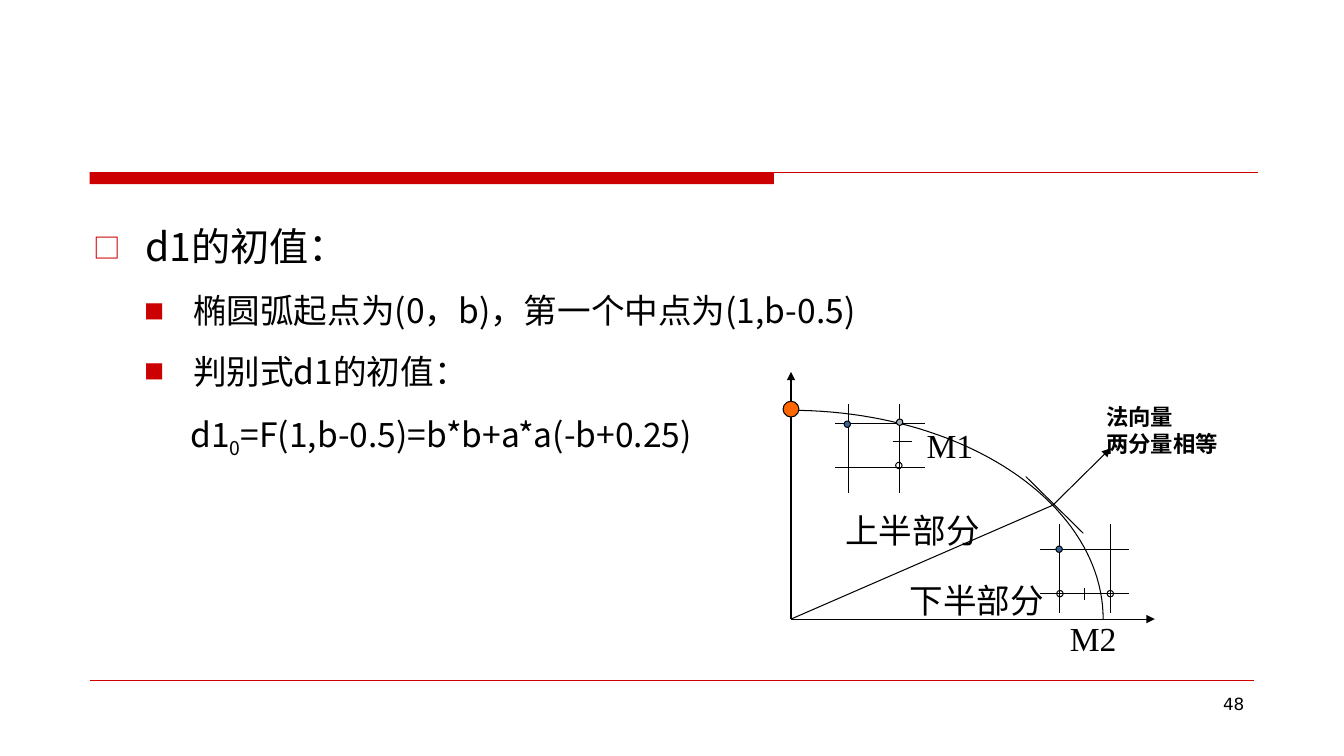
from math import cos, pi, sin

from pptx import Presentation
from pptx.dml.color import RGBColor
from pptx.enum.shapes import MSO_CONNECTOR as Link, MSO_SHAPE as Preset
from pptx.enum.text import PP_ALIGN as Align
from pptx.oxml.ns import qn
from pptx.util import Cm, Pt
from lxml.etree import SubElement

RED, BLACK, BLUE = "CC0000", "000000", "336699"
CJK = "Noto Sans CJK SC"
SERIF = "Times New Roman"

deck = Presentation()
deck.slide_width, deck.slide_height = Cm(33.88), Cm(19.05)
page = deck.slides.add_slide(deck.slide_layouts[6])
shapes = page.shapes
color = RGBColor.from_string


def add_line(x1, y1, x2, y2, ink=BLACK, width=0.75, arrow=False):
    line = shapes.add_connector(Link.STRAIGHT, Cm(x1), Cm(y1), Cm(x2), Cm(y2))
    line.line.color.rgb = color(ink)
    line.line.width = Pt(width)
    if arrow:
        SubElement(line.line._get_or_add_ln(), qn("a:tailEnd"), type="triangle")
    SubElement(line._element.spPr, qn("a:effectLst"))


def style_runs(para, size, font, bold=False):
    for span in para.runs:
        span.font.size, span.font.name, span.font.bold = Pt(size), font, bold
        span.font.color.rgb = color(BLACK)
        SubElement(span.font._element, qn("a:ea"), typeface=CJK)


# Red header bar with its thin rule, and the footer rule
bar = shapes.add_shape(Preset.RECTANGLE, Cm(2.26), Cm(4.34), Cm(17.25), Cm(0.3))
bar.shadow.inherit = False
bar.fill.solid()
bar.fill.fore_color.rgb = color(RED)
bar.line.fill.background()
add_line(2.26, 4.34, 31.72, 4.34, RED)
add_line(2.26, 17.15, 31.6, 17.15, RED, 0.25)

# Page number
number_box = shapes.add_textbox(Cm(24.28), Cm(17.35), Cm(7.34), Cm(1.32))
number_box.text_frame.word_wrap = True
number_box.text_frame.text = "48"
number = number_box.text_frame.paragraphs[0]
number.alignment = Align.RIGHT
style_runs(number, 12, "DejaVu Sans")

# Body: text, size, left margin, hanging indent, bullet, bullet size
body_lines = [
    ("d1的初值：", 28, 1.3, 1.3, "□", 70),
    ("椭圆弧起点为(0，b)，第一个中点为(1,b-0.5)", 24, 2.51, 1.22, "■", 60),
    ("判别式d1的初值：", 24, 2.51, 1.22, "■", 60),
    ("d1", 24, 2.44, 0, None, None),
]
body = shapes.add_textbox(Cm(2.11), Cm(5.13), Cm(29.64), Cm(11.6)).text_frame
body.word_wrap = True
for index, (text, size, margin, hanging, bullet, percent) in enumerate(body_lines):
    para = body.add_paragraph() if index else body.paragraphs[0]
    para.text = text
    para.line_spacing = 1.3
    if index:
        para.space_before = Pt(6)
    props = para._p.get_or_add_pPr()
    props.set("marL", str(Cm(margin)))
    props.set("indent", str(-Cm(hanging)))
    if bullet:
        tint = SubElement(props, qn("a:buClr"))
        SubElement(tint, qn("a:srgbClr"), val=RED)
        SubElement(props, qn("a:buSzPct"), val=str(percent * 1000))
        SubElement(props, qn("a:buFont"), typeface=CJK)
        SubElement(props, qn("a:buChar"), char=bullet)
    else:
        subscript = para.add_run()
        subscript.text = "0"
        subscript.font._element.set("baseline", "-25000")
        para.add_run().text = "=F(1,b-0.5)=b*b+a*a(-b+0.25)"
    style_runs(para, size, CJK)

# Quarter ellipse
origin_x, origin_y = 19.94, 15.6
radius_x, radius_y = 7.87, 5.26
steps = 48
arc_points = [
    (Cm(origin_x + radius_x * sin(pi / 2 * step / steps)),
     Cm(origin_y - radius_y * cos(pi / 2 * step / steps)))
    for step in range(steps + 1)
]
builder = shapes.build_freeform(*arc_points[0])
builder.add_line_segments(arc_points[1:], close=False)
arc = builder.convert_to_shape()
arc.shadow.inherit = False
arc.fill.background()
arc.line.color.rgb = color(BLACK)
arc.line.width = Pt(0.75)

# Axes, radius, normal and tangent at the dividing point
split_x, split_y = 26.54, 12.73
add_line(origin_x, origin_y, origin_x, 9.37, arrow=True)
add_line(origin_x, origin_y, 29.11, origin_y, arrow=True)
add_line(origin_x, origin_y, split_x, split_y)
add_line(split_x, split_y, 27.99, 11.3, arrow=True)
add_line(25.86, 12.01, 27.31, 13.44)

# Pixel grids: left, top, then the first crossing
for left, top, cross_x, cross_y in [(21.06, 10.19, 21.39, 10.67),
                                    (26.21, 13.21, 26.7, 13.84)]:
    for step in range(2):
        x, y = cross_x + 1.29 * step, cross_y + 1.12 * step
        add_line(left, y, left + 2.26, y)
        add_line(x, top, x, top + 2.23)

# Midpoint ticks
add_line(22.5, 11.13, 22.99, 11.13)
add_line(27.33, 14.81, 27.33, 15.11)

# Pixels and the starting point: centre, diameter, fill
for x, y, size, fill in [
    (21.36, 10.69, 0.16, BLUE),
    (22.68, 10.64, 0.16, "A3B2C1"),
    (22.66, 11.73, 0.16, None),
    (26.7, 13.84, 0.16, BLUE),
    (26.72, 14.96, 0.16, None),
    (27.99, 14.96, 0.16, None),
    (origin_x, 10.31, 0.4, "FF6600"),
]:
    dot = shapes.add_shape(Preset.OVAL, Cm(x - size / 2), Cm(y - size / 2), Cm(size), Cm(size))
    dot.shadow.inherit = False
    dot.line.color.rgb = color(BLACK)
    dot.line.width = Pt(0.75)
    if fill:
        dot.fill.solid()
        dot.fill.fore_color.rgb = color(fill)
    else:
        dot.fill.background()

# Diagram labels
for text, x, y, width, height, size, bold in [
    ("上半部分", 21.06, 12.73, 3.89, 1.27, 24, False),
    ("下半部分", 22.68, 14.48, 3.89, 1.27, 24, False),
    ("法向量\n两分量相等", 27.64, 10.03, 3.33, 1.63, 16, True),
    ("M1", 23.11, 10.59, 1.68, 1.27, 24, False),
    ("M2", 26.72, 15.44, 1.68, 1.27, 24, False),
]:
    label = shapes.add_textbox(Cm(x), Cm(y), Cm(width), Cm(height)).text_frame
    label.word_wrap = False
    label.text = text
    for para in label.paragraphs:
        style_runs(para, size, SERIF, bold)

deck.save("out.pptx")
